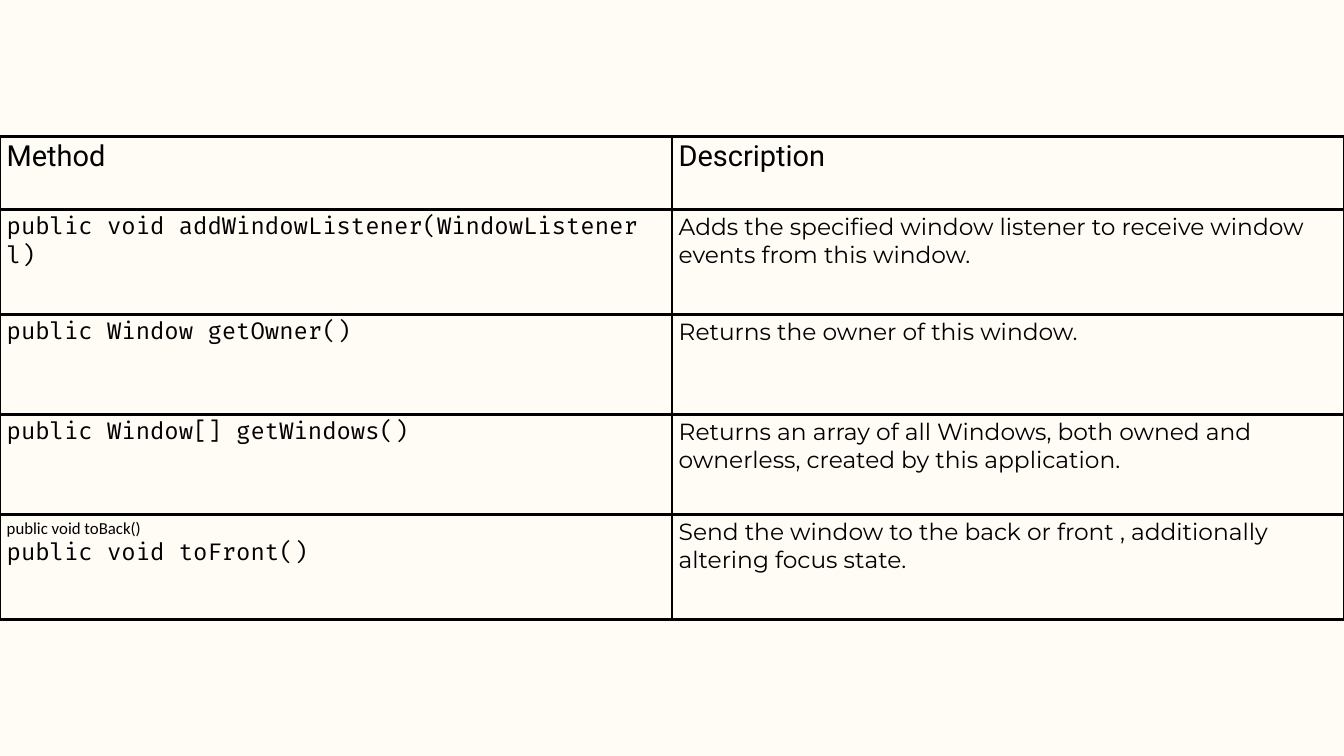
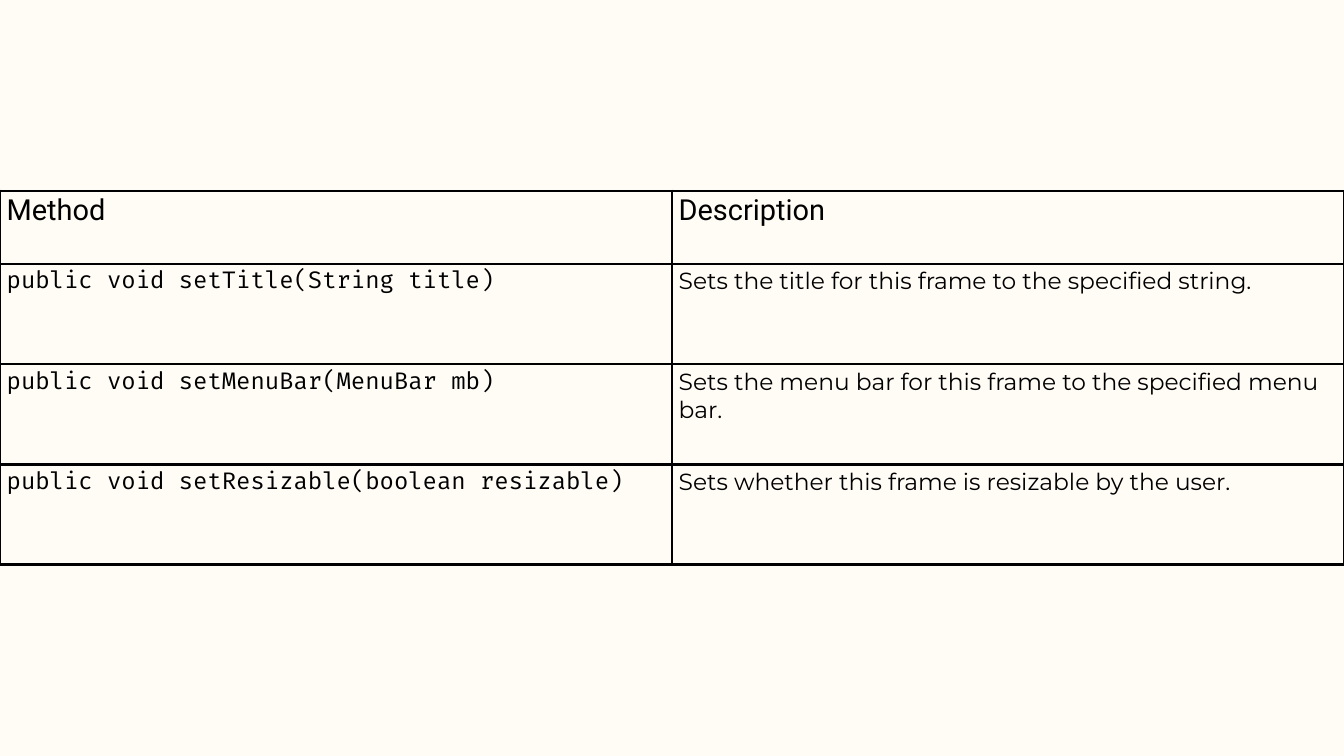
from pptx import Presentation
from pptx.dml.color import RGBColor
from pptx.oxml.ns import qn
from pptx.util import Inches, Pt
from lxml.etree import SubElement

# Content: table top, then (height, method lines, description) for each row
HEADER = ("Method", "Description")
HEADER_HEIGHT, ROW_HEIGHT, TALL_ROW = 1.09, 1.49, 1.56
METHOD_TABLES = [
    (2.03, [
        (TALL_ROW, ["public void addWindowListener(WindowListener l)"],
         "Adds the specified window listener to receive window events from this window."),
        (ROW_HEIGHT, ["public Window getOwner()"],
         "Returns the owner of this window."),
        (ROW_HEIGHT, ["public Window[] getWindows()"],
         "Returns an array of all Windows, both owned and ownerless, created by this application."),
        (TALL_ROW, ["public void toBack()", "public void toFront()"],
         "Send the window to the back or front , additionally altering focus state."),
    ]),
    (2.84, [
        (ROW_HEIGHT, ["public void setTitle(String title)"],
         "Sets the title for this frame to the specified string."),
        (ROW_HEIGHT, ["public void setMenuBar(MenuBar mb)"],
         "Sets the menu bar for this frame to the specified menu bar."),
        (ROW_HEIGHT, ["public void setResizable(boolean resizable)"],
         "Sets whether this frame is resizable by the user."),
    ]),
]

# Shared style
SLIDE_WIDTH, SLIDE_HEIGHT = 20, 11.25
CREAM, BLACK = "FFFCF6", "000000"
BORDER_WIDTH = 3
HEADING = ("Roboto", 31)
CODE = ("Fira Code", 25)
BODY = ("Montserrat", 25)
SMALL = ("Calibri", 18)


def color(hex_code):
    return RGBColor.from_string(hex_code)


def draw_borders(cell):
    properties = cell._tc.get_or_add_tcPr()
    for side in ("a:lnL", "a:lnR", "a:lnT", "a:lnB"):
        line = SubElement(properties, qn(side), w=str(Pt(BORDER_WIDTH)))
        SubElement(SubElement(line, qn("a:solidFill")), qn("a:srgbClr"), val=BLACK)


def fill_cell(cell, styled_lines):
    draw_borders(cell)
    cell.fill.background()
    frame = cell.text_frame
    for index, (text, (font_name, size)) in enumerate(styled_lines):
        paragraph = frame.add_paragraph() if index else frame.paragraphs[0]
        run = paragraph.add_run()
        run.text = text
        run.font.name, run.font.size = font_name, Pt(size)
        run.font.color.rgb = color(BLACK)


def add_method_table(slide, top, methods):
    heights = [HEADER_HEIGHT] + [height for height, _, _ in methods]
    table = slide.shapes.add_table(
        len(heights), len(HEADER), 0, Inches(top),
        Inches(SLIDE_WIDTH), Inches(sum(heights))).table
    table.first_row = table.horz_banding = False
    for row, height in zip(table.rows, heights):
        row.height = Inches(height)

    # Header row
    for column, label in enumerate(HEADER):
        fill_cell(table.cell(0, column), [(label, HEADING)])

    # Method rows: the last signature is code, any before it is small
    for row, (_, signatures, description) in enumerate(methods, start=1):
        *earlier, last = signatures
        lines = [(text, SMALL) for text in earlier] + [(last, CODE)]
        fill_cell(table.cell(row, 0), lines)
        fill_cell(table.cell(row, 1), [(description, BODY)])


def main():
    deck = Presentation()
    deck.slide_width, deck.slide_height = Inches(SLIDE_WIDTH), Inches(SLIDE_HEIGHT)
    background = deck.slide_master.background.fill
    background.solid()
    background.fore_color.rgb = color(CREAM)
    blank_layout = deck.slide_layouts[6]
    for top, methods in METHOD_TABLES:
        add_method_table(deck.slides.add_slide(blank_layout), top, methods)
    deck.save("out.pptx")


if __name__ == "__main__":
    main()
